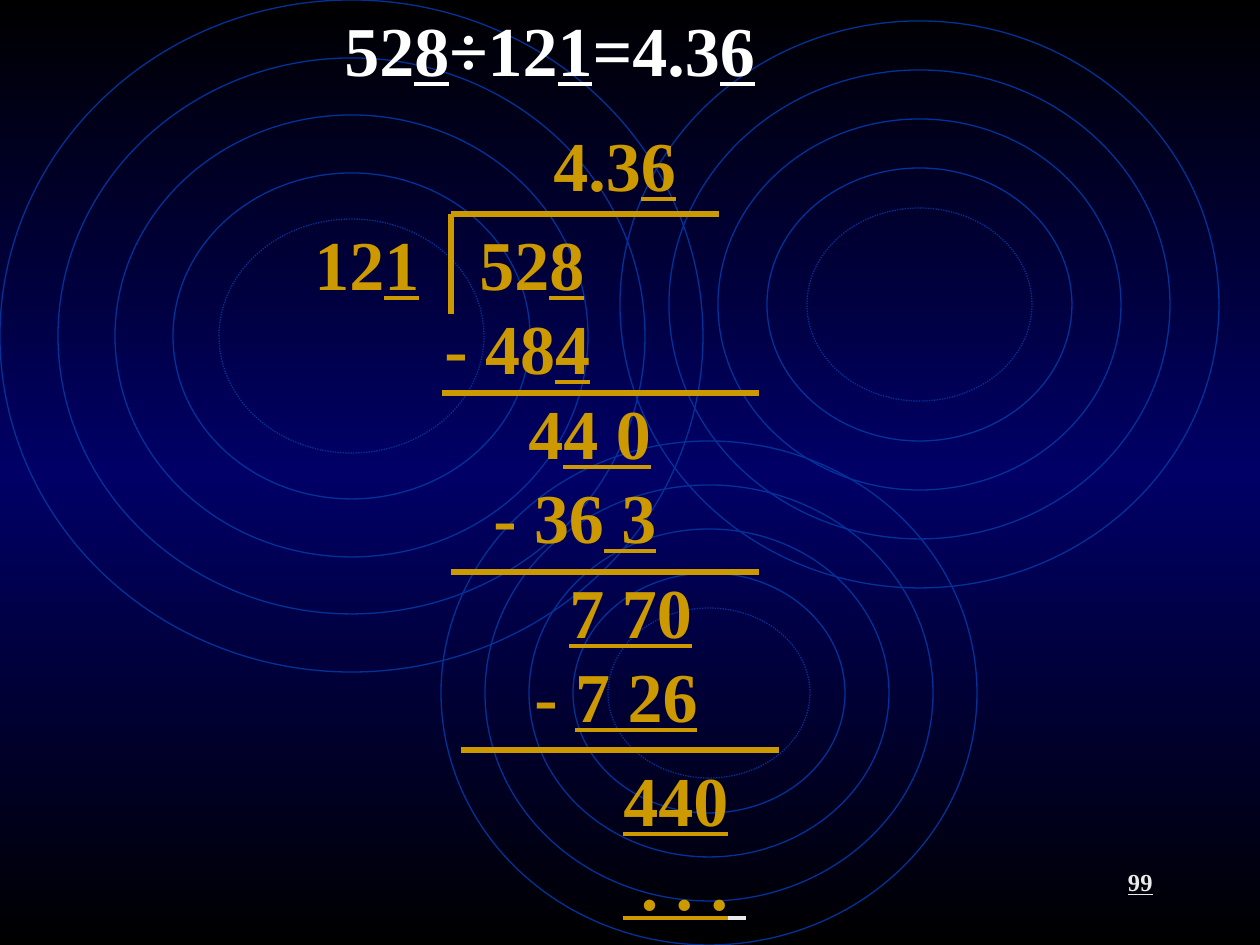
from lxml.etree import SubElement
from pptx import Presentation
from pptx.dml.color import RGBColor
from pptx.enum.dml import MSO_LINE as Dash
from pptx.enum.shapes import MSO_CONNECTOR as Conn, MSO_SHAPE as Shape
from pptx.enum.text import MSO_AUTO_SIZE as Fit, PP_ALIGN as Align
from pptx.oxml.ns import qn
from pptx.util import Emu, Pt

GOLD, WHITE, PALE, BLUE = "CC9900", "FFFFFF", "EAEAEA", "003399"


def px(n):
    return Emu(round(n * 914400 / 126))


def rgb(code):
    return RGBColor.from_string(code)


class Board:
    font = "Times New Roman"
    rings = (0, 0.082, 0.164, 0.246, 0.312)

    def __init__(self, deck):
        self.slide = deck.slides.add_slide(deck.slide_layouts[6])
        self.shapes = self.slide.shapes

    def fade(self, *stops):
        fill = self.slide.background.fill
        fill.gradient()
        fill.gradient_angle = 270
        group = self.slide.element.find(".//" + qn("a:gsLst"))
        for old in list(group):
            group.remove(old)
        for place, code in stops:
            stop = SubElement(group, qn("a:gs"), pos=str(place * 1000))
            SubElement(stop, qn("a:srgbClr"), val=code)

    def ripple(self, x, y, w, h):
        for part in self.rings:
            gap = round(w * part)
            ring = self.shapes.add_shape(
                Shape.OVAL, px(x + gap), px(y + gap), px(w - 2 * gap), px(h - 2 * gap))
            ring.shadow.inherit = False
            ring.fill.background()
            ring.line.color.rgb = rgb(BLUE)
            ring.line.width = Pt(0.75)
        ring.line.dash_style = Dash.ROUND_DOT

    def rule(self, x1, y1, x2, y2):
        line = self.shapes.add_connector(Conn.STRAIGHT, px(x1), px(y1), px(x2), px(y2))
        line.line.color.rgb = rgb(GOLD)
        line.line.width = Pt(3)
        SubElement(line.element.spPr, qn("a:effectLst"))

    def run(self, para, text, code, under, size=40):
        run = para.add_run()
        run.text = text
        font = run.font
        font.name, font.size, font.bold = self.font, Pt(size), True
        font.underline = under
        font.color.rgb = rgb(code)

    def text(self, x, y, w, h, *rows, code=GOLD, size=40, indent=0,
             wrap=False, fit=Fit.SHAPE_TO_FIT_TEXT, align=Align.LEFT):
        """Every second part of a row, split at |, is underlined."""
        frame = self.shapes.add_textbox(px(x), px(y), px(w), px(h)).text_frame
        frame.word_wrap = wrap
        frame.auto_size = fit
        for i, row in enumerate(rows):
            para = frame.add_paragraph() if i else frame.paragraphs[0]
            para.alignment = align
            if indent and not i:
                props = para._p.get_or_add_pPr()
                props.set("marL", str(px(indent)))
                props.set("indent", "0")
            for j, part in enumerate(row.split("|")):
                if part:
                    self.run(para, part, code, j % 2 == 1, size)
        return para


def main():
    deck = Presentation()
    deck.slide_width, deck.slide_height = px(1260), px(945)
    board = Board(deck)

    # Background with three sets of rings
    board.fade((0, "000000"), (50, "000066"), (100, "000000"))
    board.ripple(0, 0, 703, 672)
    board.ripple(441, 441, 536, 504)
    board.ripple(620, 21, 599, 567)

    # Equation
    board.text(0, 0, 1235, 97, "52|8|÷12|1|=4.3|6", code=WHITE, indent=332, wrap=True)

    # Division bracket and subtraction lines
    board.rule(451, 214, 719, 214)
    board.rule(451, 214, 451, 314)
    for left, y, right in ((442, 393, 759), (451, 572, 759), (461, 750, 779)):
        board.rule(left, y, right, y)

    # Divisor, quotient and working steps
    board.text(302, 214, 134, 97, "12|1")
    board.text(541, 115, 152, 97, "4.3|6")
    board.text(432, 214, 176, 181, "52|8", "- 48|4", indent=35)
    board.text(481, 383, 192, 181, "4|4 0", "- 36| 3", indent=35)
    board.text(522, 562, 192, 181, "|7 70", "- |7 26", indent=35)
    dots = board.text(611, 750, 152, 181, "|440", "| . . .")
    board.run(dots, " ", PALE, True)

    # Slide number
    board.text(903, 861, 262, 63, "|99", code=PALE, size=14, wrap=True,
               fit=Fit.NONE, align=Align.RIGHT)

    deck.save("out.pptx")


if __name__ == "__main__":
    main()
